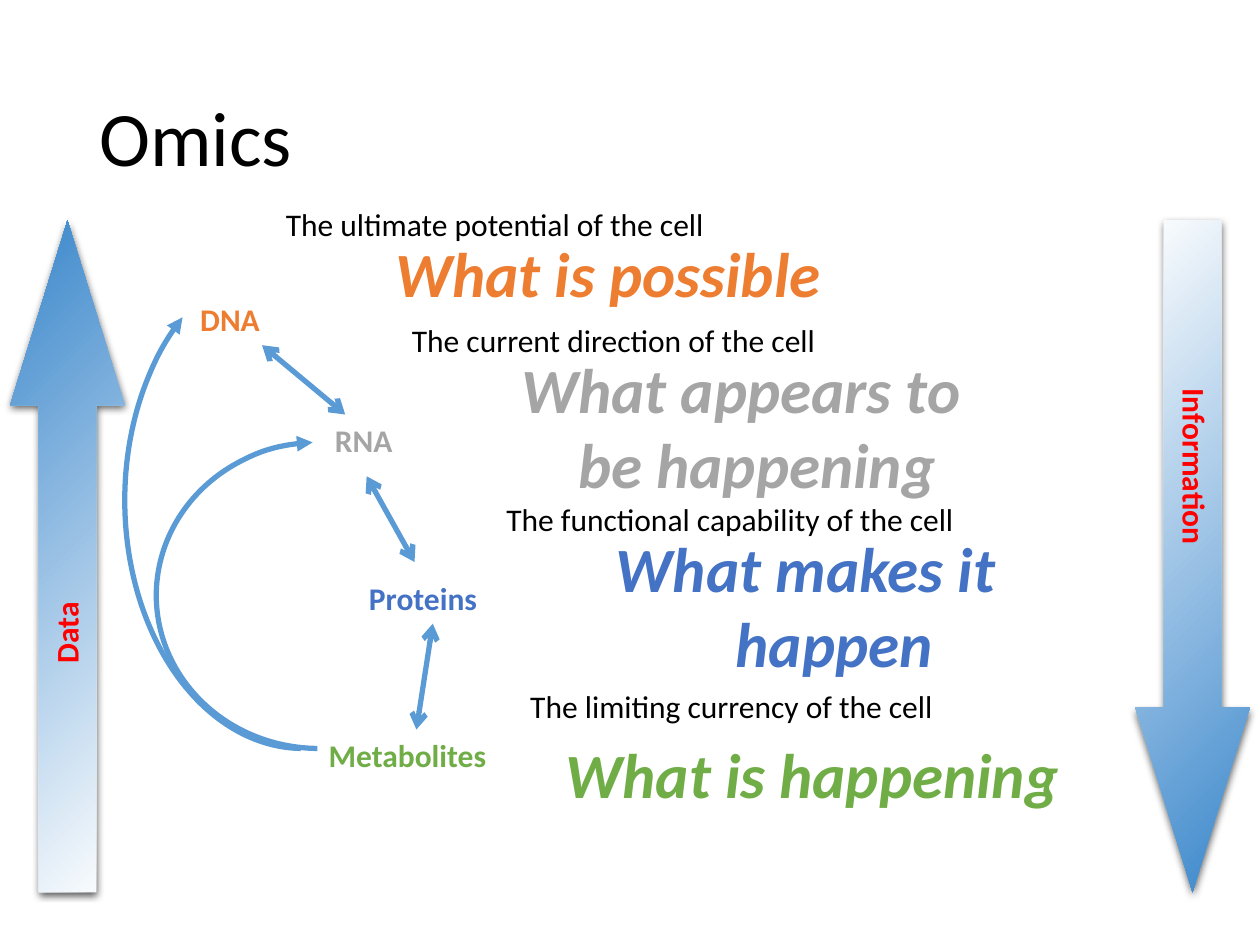
from lxml import etree
from pptx import Presentation
from pptx.dml.color import RGBColor
from pptx.enum.shapes import MSO_CONNECTOR, MSO_SHAPE
from pptx.enum.text import MSO_ANCHOR, MSO_AUTO_SIZE
from pptx.oxml import parse_xml
from pptx.oxml.ns import nsdecls, qn
from pptx.util import Inches, Pt

rgb = RGBColor.from_string
BLACK, RED, SKY = "000000", "FF0000", "5B9BD5"
ORANGE, GREY, BLUE, GREEN = "ED7D31", "A5A5A5", "4472C4", "70AD47"

deck = Presentation()
deck.slide_width, deck.slide_height = Inches(10), Inches(7.5)
slide = deck.slides.add_slide(deck.slide_layouts[6])
shapes = slide.shapes


def add_text(lines, at, color, indent=0, **style):
    """Add a text box; lines after the first are indented by that many inches."""
    box = shapes.add_textbox(*map(Inches, at))
    frame = box.text_frame
    frame.word_wrap = False
    frame.auto_size = MSO_AUTO_SIZE.SHAPE_TO_FIT_TEXT
    frame.text = lines
    for row, para in enumerate(frame.paragraphs):
        if row:
            props = para._p.get_or_add_pPr()
            props.set("marL", str(Inches(indent)))
            props.set("indent", "0")
        for name, value in {"name": "Calibri", "size": Pt(18), **style}.items():
            setattr(para.font, name, value)
        para.font.color.rgb = rgb(color)
    return box


def style_line(shape, **ends):
    """Draw a thick line with the given arrowheads, headEnd and tailEnd."""
    shape.line.color.rgb = rgb(SKY)
    shape.line.width = Pt(3)
    for end, kind in ends.items():
        etree.SubElement(shape.line._get_or_add_ln(), qn(f"a:{end}"), type=kind)


# Title
title = add_text("Omics", (0.69, 0.4, 8.62, 1.45), BLACK, size=Pt(44)).text_frame
title.auto_size = MSO_AUTO_SIZE.NONE
title.word_wrap = True
title.vertical_anchor = MSO_ANCHOR.MIDDLE
title.paragraphs[0].line_spacing = 0.9

# Data and Information arrows
for left, turn in ((0.08, 180), (9.01, 0)):
    arrow = shapes.add_shape(MSO_SHAPE.DOWN_ARROW, Inches(left), Inches(1.75),
                             Inches(0.91), Inches(5.33))
    arrow.rotation = turn
    arrow.adjustments[1] = 1.61
    arrow.fill.gradient()
    arrow.fill.gradient_angle = 315
    for stop, place, color in zip(arrow.fill.gradient_stops, (0, 1),
                                  ("FFFFFF", "3986CB")):
        stop.position = place
        stop.color.rgb = rgb(color)
    arrow.line.fill.background()
    arrow.shadow.inherit = False
    arrow._element.spPr.find(qn("a:effectLst")).append(parse_xml(
        f'<a:outerShdw {nsdecls("a")} blurRad="{Pt(4.5)}" dist="{Pt(1.5)}" '
        'dir="5400000" rotWithShape="0"><a:srgbClr val="000000">'
        '<a:alpha val="63000"/></a:srgbClr></a:outerShdw>'))

for text, at, turn in (("Data", (0.18, 4.82, 0.69, 0.4), 270),
                       ("Information", (8.69, 3.58, 1.59, 0.4), 90)):
    add_text(text, at, RED, bold=True).rotation = turn

# Molecule labels
labels = {}
for text, left, top, width, color in (
    ("DNA", 1.49, 2.33, 0.75, ORANGE),
    ("RNA", 2.56, 3.29, 0.75, GREY),
    ("Proteins", 2.83, 4.55, 1.21, BLUE),
    ("Metabolites", 2.51, 5.79, 1.59, GREEN),
):
    labels[text] = add_text(text, (left, top, width, 0.4), color, bold=True)

# Feedback arcs from metabolites to DNA and RNA
for at, sweep in (((0.99, 2, 2.83, 3.94), 33.98),
                  ((1.24, 3.51, 2.58, 2.43), 52.61)):
    arc = shapes.add_shape(MSO_SHAPE.ARC, *map(Inches, at))
    arc.rotation = 180
    arc.adjustments[0], arc.adjustments[1] = 162.31, sweep
    arc.fill.background()
    arc.shadow.inherit = False
    style_line(arc, tailEnd="triangle")

# Two-way links between neighbours
for ends in ((2.08, 2.74, 2.74, 3.29), (2.91, 3.78, 3.29, 4.46),
             (3.43, 4.95, 3.31, 5.79)):
    link = shapes.add_connector(MSO_CONNECTOR.STRAIGHT, *map(Inches, ends))
    style_line(link, headEnd="arrow", tailEnd="arrow")
    etree.SubElement(link._element.spPr, qn("a:effectLst"))
link.begin_connect(labels["Proteins"], 2)
link.end_connect(labels["Metabolites"], 0)

# What each level tells about the cell
for note, note_at, claim, claim_at, color, indent in (
    ("The ultimate potential of the cell", (2.17, 1.58, 3.85, 0.4),
     "What is possible", (3.04, 1.81, 4.18, 0.71), ORANGE, 0),
    ("The current direction of the cell", (3.17, 2.5, 3.81, 0.4),
     "What appears to\nbe happening", (4.04, 2.73, 4.13, 1.31), GREY, 0.45),
    ("The functional capability of the cell", (3.92, 3.92, 4.06, 0.4),
     "What makes it\nhappen", (4.79, 4.15, 3.74, 1.31), BLUE, 0.95),
    ("The limiting currency of the cell", (4.11, 5.4, 3.68, 0.4),
     "What is happening", (4.39, 5.79, 4.69, 0.71), GREEN, 0),
):
    add_text(note, note_at, BLACK)
    add_text(claim, claim_at, color, indent, size=Pt(36), bold=True, italic=True)

deck.save("out.pptx")
